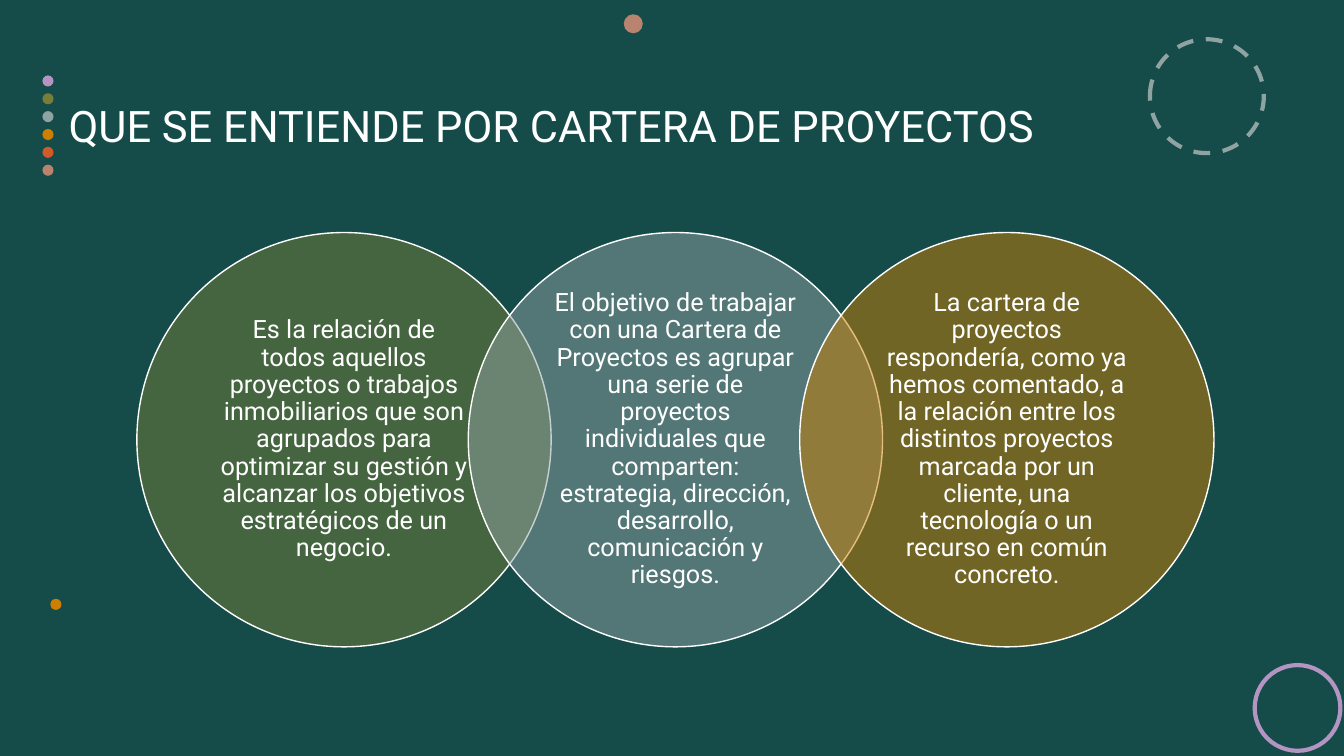
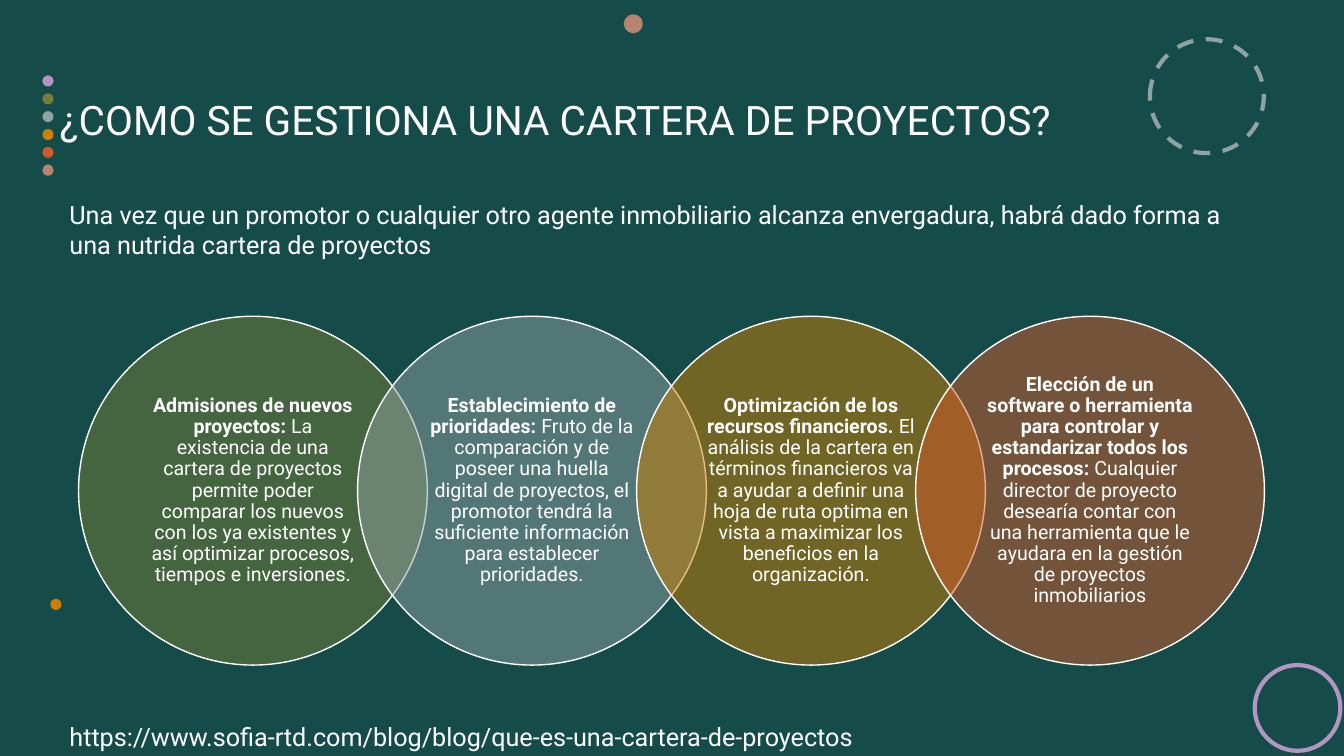
from lxml import etree
from pptx import Presentation
from pptx import util as u
from pptx.dml.color import RGBColor
from pptx.enum import dml, shapes, text
from pptx.oxml import ns

TEAL = RGBColor(0x15, 0x4C, 0x4A)
WHITE = RGBColor(0xFF, 0xFF, 0xFF)
LILAC = RGBColor(0xB4, 0x95, 0xC2)
OLIVE = RGBColor(0x76, 0x7E, 0x37)
GREY = RGBColor(0x8F, 0xA3, 0xA3)
AMBER = RGBColor(0xCE, 0x7F, 0x01)
RUST = RGBColor(0xD1, 0x5A, 0x29)
CLAY = RGBColor(0xB8, 0x84, 0x70)
FONT = "Roboto"
CIRCLE_COLOURS = [OLIVE, GREY, AMBER, RUST]
OVERLAP_STEP = 0.8

PAGES = [
    {
        "title": "QUE SE ENTIENDE POR CARTERA DE PROYECTOS",
        "title_at": (1.73, 1.24),
        "title_size": 31,
        "circles_at": (3.45, 5.86),
        "diameter": 10.44,
        "inset": 0.58,
        "text_size": 18,
        "circles": [
            ("", "Es la relación de todos aquellos proyectos o trabajos inmobiliarios que son agrupados para optimizar su gestión y alcanzar los objetivos estratégicos de un negocio."),
            ("", "El objetivo de trabajar con una Cartera de Proyectos es agrupar una serie de proyectos individuales que comparten: estrategia, dirección, desarrollo, comunicación y riesgos."),
            ("", "La cartera de proyectos respondería, como ya hemos comentado, a la relación entre los distintos proyectos marcada por un cliente, una tecnología o un recurso en común concreto."),
        ],
        "notes": [],
    },
    {
        "title": "¿COMO SE GESTIONA UNA CARTERA DE PROYECTOS?",
        "title_at": (1.5, 1.09),
        "title_size": 29,
        "circles_at": (1.98, 7.97),
        "diameter": 8.79,
        "inset": 0.48,
        "text_size": 14,
        "circles": [
            ("Admisiones de nuevos proyectos: ", "La existencia de una cartera de proyectos permite poder comparar los nuevos con los ya existentes y así optimizar procesos, tiempos e inversiones."),
            ("Establecimiento de prioridades: ", "Fruto de la comparación y de poseer una huella digital de proyectos, el promotor tendrá la suficiente información para establecer prioridades."),
            ("Optimización de los recursos financieros. ", "El análisis de la cartera en términos financieros va a ayudar a definir una hoja de ruta optima en vista a maximizar los beneficios en la organización."),
            ("Elección de un software o herramienta para controlar y estandarizar todos los procesos: ", "Cualquier director de proyecto desearía contar con una herramienta que le ayudara en la gestión de proyectos inmobiliarios"),
        ],
        "notes": [
            (18.06, 24.16, 1, "https://www.sofia-rtd.com/blog/blog/que-es-una-cartera-de-proyectos"),
            (4.9, 30.53, 1.8, "Una vez que un promotor o cualquier otro agente inmobiliario alcanza envergadura, habrá dado forma a una nutrida cartera de proyectos"),
        ],
    },
]


def add_circle(page, left, top, diameter, fill=None, line=None, width=1):
    circle = page.shapes.add_shape(
        shapes.MSO_SHAPE.OVAL, u.Cm(left), u.Cm(top), u.Cm(diameter), u.Cm(diameter))
    circle.shadow.inherit = False
    if fill is None:
        circle.fill.background()
    else:
        circle.fill.solid()
        circle.fill.fore_color.rgb = fill
    if line is None:
        circle.line.fill.background()
    else:
        circle.line.color.rgb = line
        circle.line.width = u.Pt(width)
    return circle


def add_span(para, words, size, bold=False):
    span = para.add_run()
    span.text = words
    span.font.name = FONT
    span.font.size = u.Pt(size)
    span.font.bold = bold
    span.font.color.rgb = WHITE


deck = Presentation()
deck.slide_width = u.Cm(33.87)
deck.slide_height = u.Cm(19.05)
layout = deck.slide_layouts.get_by_name("Title Only")
layout.background.fill.solid()
layout.background.fill.fore_color.rgb = TEAL
pages = [deck.slides.add_slide(layout) for _ in PAGES]

decoration = [
    add_circle(pages[0], 1.07, 1.9 + 0.45 * row, 0.28, fill=colour)
    for row, colour in enumerate([LILAC, OLIVE, GREY, AMBER, RUST, CLAY])
]
dashed_ring = add_circle(pages[0], 28.98, 0.99, 2.87, line=GREY, width=3)
dashed_ring.line.dash_style = dml.MSO_LINE.DASH
decoration += [
    dashed_ring,
    add_circle(pages[0], 15.72, 0.36, 0.48, fill=CLAY),
    add_circle(pages[0], 1.27, 15.09, 0.28, fill=AMBER),
    add_circle(pages[0], 31.62, 16.76, 2.16, line=LILAC, width=3),
]
for ornament in decoration:
    layout.shapes.element.append(ornament.element)

for page, content in zip(pages, PAGES):
    title = page.shapes.title
    left, top = content["title_at"]
    title.left, title.top = u.Cm(left), u.Cm(top)
    title.width, title.height = u.Cm(27.94), u.Cm(3.81)
    frame = title.text_frame
    frame.auto_size = text.MSO_AUTO_SIZE.NONE
    frame.vertical_anchor = text.MSO_ANCHOR.MIDDLE
    frame.margin_left = frame.margin_right = frame.margin_top = frame.margin_bottom = 0
    para = frame.paragraphs[0]
    para.alignment = text.PP_ALIGN.LEFT
    add_span(para, content["title"], content["title_size"])

    left, top = content["circles_at"]
    diameter = content["diameter"]
    for column, (heading, body) in enumerate(content["circles"]):
        circle = add_circle(page, left + column * diameter * OVERLAP_STEP, top, diameter,
                            fill=CIRCLE_COLOURS[column], line=WHITE)
        colour = circle.element.xpath("./p:spPr/a:solidFill/a:srgbClr")[0]
        etree.SubElement(colour, ns.qn("a:alpha"), val="50000")
        frame = circle.text_frame
        frame.word_wrap = True
        frame.vertical_anchor = text.MSO_ANCHOR.MIDDLE
        frame.margin_left = frame.margin_right = u.Cm(content["inset"])
        frame.margin_top = frame.margin_bottom = u.Cm(0.06)
        para = frame.paragraphs[0]
        para.alignment = text.PP_ALIGN.CENTER
        para.line_spacing = 0.9
        if heading:
            add_span(para, heading, content["text_size"], bold=True)
        add_span(para, body, content["text_size"])

    for top, width, height, words in content["notes"]:
        box = page.shapes.add_textbox(u.Cm(1.5), u.Cm(top), u.Cm(width), u.Cm(height))
        box.text_frame.word_wrap = True
        add_span(box.text_frame.paragraphs[0], words, 18)

deck.save("out.pptx")
